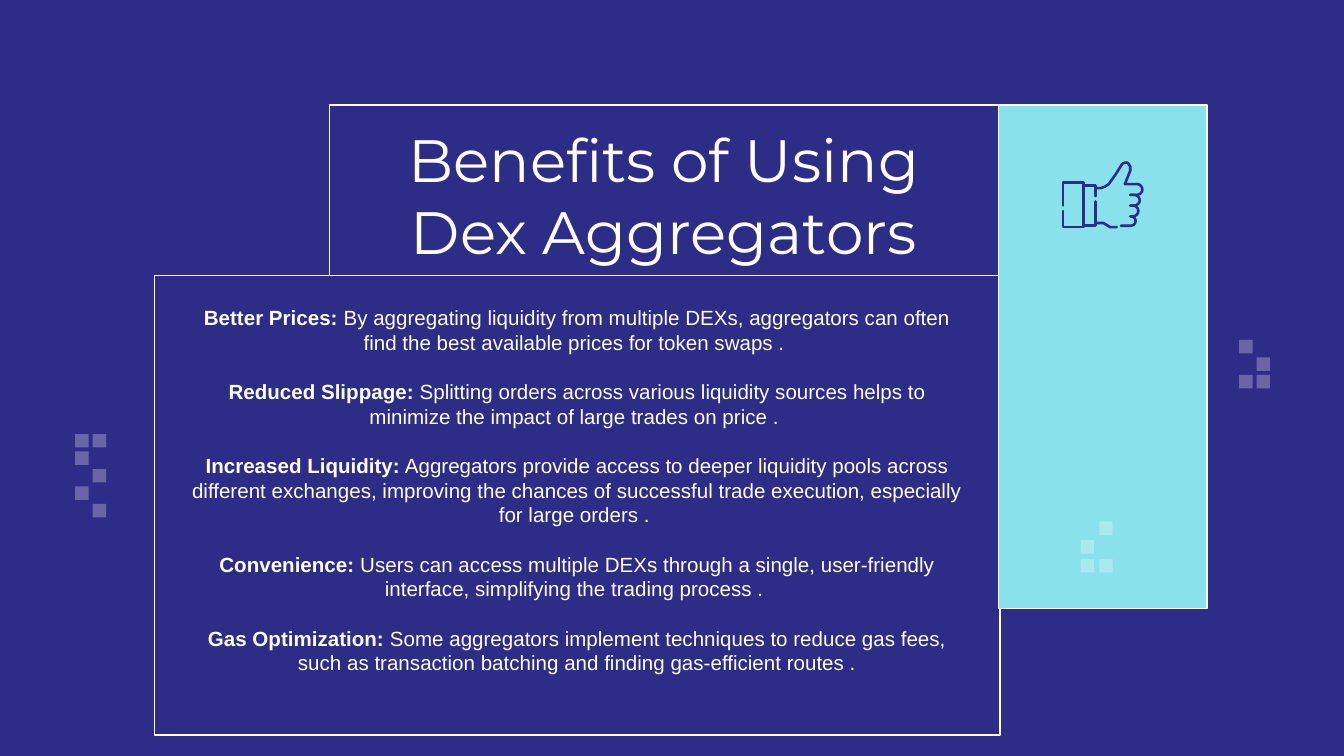
from pptx import Presentation
from pptx.util import Inches, Pt
from pptx.dml.color import RGBColor
from pptx.enum.shapes import MSO_SHAPE as Shape
from pptx.enum.text import PP_ALIGN as Align, MSO_ANCHOR as Anchor, MSO_AUTO_SIZE as Fit
from pptx.oxml.ns import qn
from lxml.etree import SubElement
from math import sin, cos, pi

NAVY, WHITE, AQUA = "2D2D87", "FFFFFF", "89E1EC"

# Content
TITLE = "Benefits of Using Dex Aggregators"
GAINS = [
    ("Better Prices:", "By aggregating liquidity from multiple DEXs, aggregators can often "
     "find the best available prices for token swaps . "),
    ("Reduced Slippage:", "Splitting orders across various liquidity sources helps to "
     "minimize the impact of large trades on price . "),
    ("Increased Liquidity:", "Aggregators provide access to deeper liquidity pools across "
     "different exchanges, improving the chances of successful trade execution, "
     "especially for large orders . "),
    ("Convenience:", "Users can access multiple DEXs through a single, user-friendly "
     "interface, simplifying the trading process . "),
    ("Gas Optimization:", "Some aggregators implement techniques to reduce gas fees, "
     "such as transaction batching and finding gas-efficient routes ."),
]

# Dot clusters: left, top, pitch, rows of marks
DOTS = [
    (0.56, 3.23, 0.13, ["xx", "x.", ".x", "x.", ".x"]),
    (9.22, 2.53, 0.13, ["x.", ".x", "xx"]),
    (8.04, 3.88, 0.14, [".x", "x.", "xx"]),
]


def arc(x, y, rx, ry, start, end, steps=8):
    turns = [start + (end - start) * i / steps for i in range(steps + 1)]
    return [(x + rx * cos(t * pi / 180), y + ry * sin(t * pi / 180)) for t in turns]


# Thumb icon: strokes of the cuff, the sleeve, the thumb and the palm
STROKES = [
    [(7.91, 1.53), (7.91, 1.36), (8.06, 1.36), (8.06, 1.69), (7.91, 1.69), (7.91, 1.57)],
    [(8.06, 1.38), (8.15, 1.38), (8.15, 1.46)],
    [(8.06, 1.68), (8.15, 1.68), (8.15, 1.5)],
    [(8.15, 1.4), (8.19, 1.4), (8.22, 1.39), (8.25, 1.37), (8.3, 1.3), (8.35, 1.22),
     (8.37, 1.21), (8.39, 1.21), (8.41, 1.24), (8.41, 1.27), (8.37, 1.37), (8.46, 1.37)]
    + arc(8.46, 1.41, 0.04, 0.04, -90, 90) + [(8.41, 1.45)],
    [(8.15, 1.66), (8.21, 1.66), (8.26, 1.69), (8.31, 1.69)],
]
# Fingers: right edge, top, bottom, left end
for edge, top, low, end in [(8.48, 1.45, 1.53, 8.41), (8.47, 1.53, 1.61, 8.41),
                            (8.45, 1.61, 1.68, 8.34)]:
    half = (low - top) / 2
    STROKES.append([(8.41, top)] + arc(edge - half, top + half, half, half, -90, 90)
                   + [(end, low)])


def hue(code):
    return RGBColor.from_string(code)


def paint(shape, fill, line=None, width=0.75):
    shape.shadow.inherit = False
    if fill:
        shape.fill.solid()
        shape.fill.fore_color.rgb = hue(fill)
    else:
        shape.fill.background()
    if line:
        shape.line.color.rgb = hue(line)
        shape.line.width = Pt(width)
    else:
        shape.line.fill.background()


def box(at, fill, line=None):
    shape = slide.shapes.add_shape(Shape.RECTANGLE, *map(Inches, at))
    paint(shape, fill, line)
    return shape


def frame(shape, top, low):
    text = shape.text_frame
    form = dict(word_wrap=True, auto_size=Fit.NONE, vertical_anchor=Anchor.MIDDLE,
                margin_left=Inches(0.25), margin_right=Inches(0.25),
                margin_top=Inches(top), margin_bottom=Inches(low))
    for key, val in form.items():
        setattr(text, key, val)
    return text


def write(para, words, size, face, bold=False):
    para.alignment = Align.CENTER
    run = para.add_run()
    run.text = words
    for key, val in dict(size=Pt(size), name=face, bold=bold).items():
        setattr(run.font, key, val)
    run.font.color.rgb = hue(WHITE)


# Widescreen 16:9 page
deck = Presentation()
deck.slide_width = Inches(10)
deck.slide_height = deck.slide_width * 9 // 16
slide = deck.slides.add_slide(deck.slide_layouts[5])
slide.background.fill.solid()
slide.background.fill.fore_color.rgb = hue(NAVY)

# Title
head = slide.shapes.title
for key, val in zip(("left", "top", "width", "height"), (2.45, 0.78, 4.98, 1.34)):
    setattr(head, key, Inches(val))
paint(head, NAVY, WHITE)
write(frame(head, 0.1, 0.1).paragraphs[0], TITLE, 32, "Montserrat")

# Benefits
body = frame(box((1.15, 2.05, 6.29, 3.42), NAVY, WHITE), 0.1, 0.33)
for i, (name, words) in enumerate(GAINS):
    para = body.add_paragraph() if i else body.paragraphs[0]
    if i:
        para.space_before = Pt(13.2)
    write(para, name, 11, "Arial", True)
    write(para, " " + words, 11, "Arial")

# Side panel
box((7.43, 0.78, 1.55, 3.75), AQUA, WHITE)

# Thumb icon, one outline in thousandths of an inch
paths = [[(x * 1000, y * 1000) for x, y in pts] for pts in STROKES]
pen = slide.shapes.build_freeform(*paths[0][0], scale=Inches(1) / 1000)
for i, pts in enumerate(paths):
    if i:
        pen.move_to(*pts[0])
    pen.add_line_segments(pts[1:], close=False)
thumb = pen.convert_to_shape()
paint(thumb, None, NAVY, 1.4)
ln = thumb.line._get_or_add_ln()
ln.set("cap", "rnd")
SubElement(ln, qn("a:round"))

# Pale dots
for left, top, step, rows in DOTS:
    for r, row in enumerate(rows):
        for c, cell in enumerate(row):
            if cell == "x":
                dot = box((left + c * step, top + r * step, 0.1, 0.1), WHITE)
                tint = dot.fill._xPr.find(".//" + qn("a:srgbClr"))
                SubElement(tint, qn("a:alpha"), val="28000")

deck.save("out.pptx")
